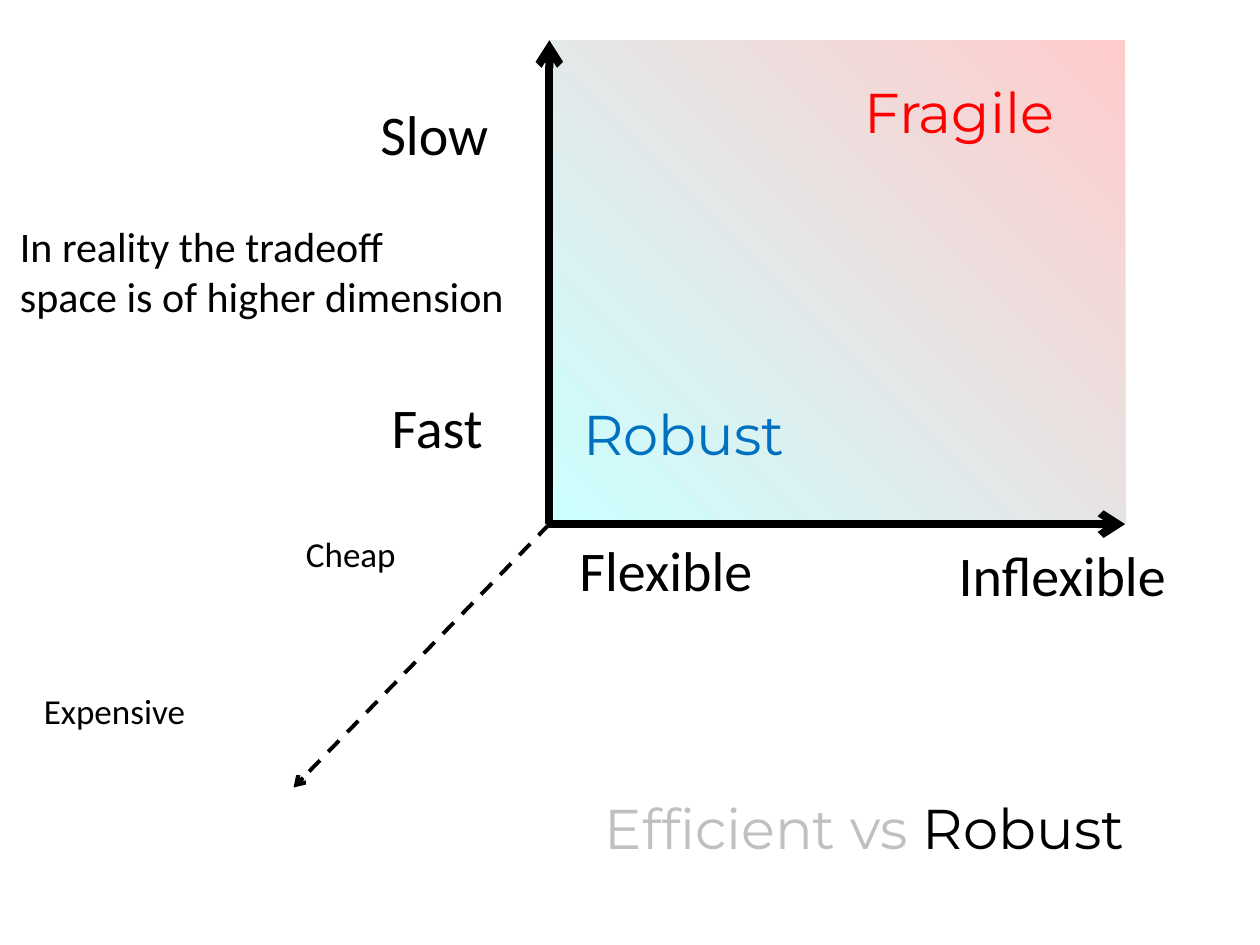
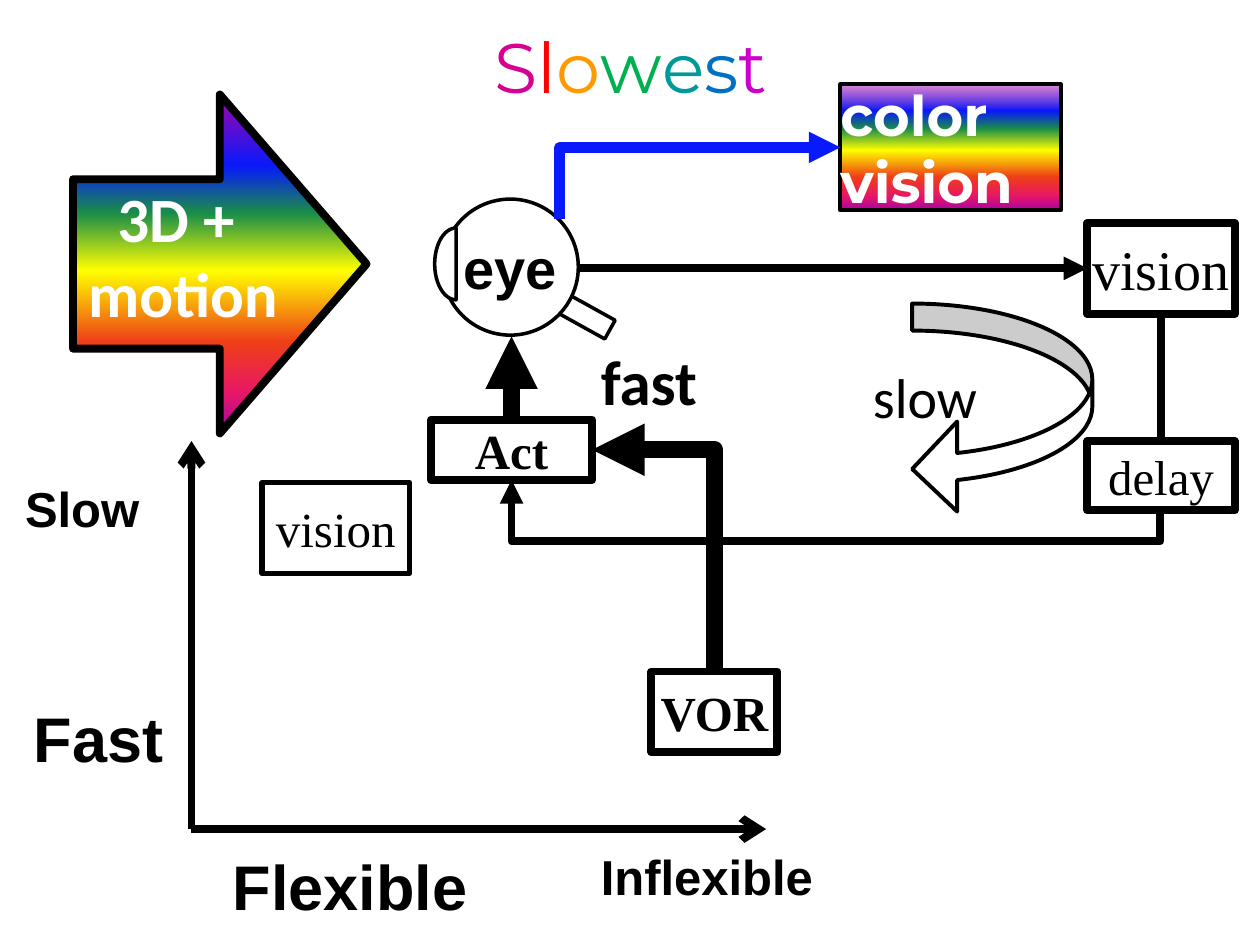
from dataclasses import dataclass
from typing import NamedTuple, Optional

from lxml.etree import SubElement
from pptx import Presentation
from pptx.dml.color import RGBColor
from pptx.enum.dml import MSO_LINE
from pptx.enum.shapes import MSO_CONNECTOR, MSO_SHAPE
from pptx.enum.text import MSO_ANCHOR, MSO_AUTO_SIZE, PP_ALIGN
from pptx.oxml.ns import qn
from pptx.util import Inches, Pt

WIDTH, HEIGHT = Inches(10), Inches(7.5)
COL, ROW = WIDTH / 100, HEIGHT / 75
BLACK, WHITE, RED, BLUE, GREEN = "000000", "FFFFFF", "FF0000", "0070C0", "00B050"
ROBUST, FRAGILE, GRAY, RAY = "CCFFFF", "FFCCCC", "C0C0C0", "0819FB"
SANS, BODY, SERIF, TITLE = "Arial", "Calibri", "Times New Roman", "Montserrat"
RAINBOW = ((0, "A603AB"), (21, RAY), (35, "1A8D48"), (52, "FFFF00"),
           (73, "EE3F17"), (88, "E81766"), (100, "A603AB"))


class Area(NamedTuple):
    col: float
    row: float
    cols: float
    rows: float


class Spot(NamedTuple):
    col: float
    row: float


class Style(NamedTuple):
    font: str
    size: float
    bold: bool = False
    color: str = BLACK


@dataclass
class Label:
    text: str
    area: Area
    style: Style
    wrap: bool = False
    tints: tuple = ()


@dataclass
class Block:
    area: Area
    line: float = 0
    text: str = ""
    style: Style = Style(SERIF, 28)
    kind: MSO_SHAPE = MSO_SHAPE.RECTANGLE
    fill: str = WHITE
    bends: tuple = ()
    turn: float = 0
    flip: bool = False
    inset: Optional[int] = None
    align: PP_ALIGN = PP_ALIGN.CENTER
    anchor: MSO_ANCHOR = MSO_ANCHOR.MIDDLE


@dataclass
class Arrow:
    start: Spot
    end: Spot
    width: float = 4.5
    head: str = "triangle"
    color: str = BLACK
    dashed: bool = False


def paint(color: str) -> RGBColor:
    return RGBColor.from_string(color)


def place(area: Area) -> list[int]:
    units = (COL, ROW, COL, ROW)
    return [round(part * unit) for part, unit in zip(area, units)]


def write(frame, text: str, style: Style, align=PP_ALIGN.LEFT, tints=()) -> None:
    for index, words in enumerate(text.split("\n")):
        para = frame.paragraphs[0] if index == 0 else frame.add_paragraph()
        para.alignment = align
        for part, tint in tints or ((words, style.color),):
            run = para.add_run()
            run.text = part
            if tints:
                run.font.color.rgb = paint(tint)
        para.font.name = style.font
        para.font.size = Pt(style.size)
        para.font.bold = style.bold
        if not tints:
            para.font.color.rgb = paint(style.color)
        for run in para.runs:
            run.font.name = style.font
            run.font.size = Pt(style.size)
            run.font.bold = style.bold
            if not tints:
                run.font.color.rgb = paint(style.color)


def add_label(slide, label: Label):
    box = slide.shapes.add_textbox(*place(label.area))
    box.text_frame.word_wrap = label.wrap
    box.text_frame.auto_size = MSO_AUTO_SIZE.SHAPE_TO_FIT_TEXT
    write(box.text_frame, label.text, label.style, tints=label.tints)
    return box


def add_block(slide, block: Block):
    shape = slide.shapes.add_shape(block.kind, *place(block.area))
    shape.shadow.inherit = False
    shape.rotation = block.turn
    for index, bend in enumerate(block.bends):
        shape.adjustments[index] = bend
    if block.flip:
        shape.element.spPr.find(qn("a:xfrm")).set("flipH", "1")
    if block.fill:
        shape.fill.solid()
        shape.fill.fore_color.rgb = paint(block.fill)
    else:
        shape.fill.background()
    if block.line:
        shape.line.width = Pt(block.line)
        shape.line.color.rgb = paint(BLACK)
    else:
        shape.line.fill.background()
    if block.text:
        frame = shape.text_frame
        frame.word_wrap = False
        frame.vertical_anchor = block.anchor
        if block.inset is not None:
            frame.margin_left = frame.margin_right = block.inset
            frame.margin_top = frame.margin_bottom = block.inset
        write(frame, block.text, block.style, block.align)
    return shape


def blend(shape, stops: tuple, corner: bool = False, clear: int = 100) -> None:
    props = shape.element.spPr
    solid = props.find(qn("a:solidFill"))
    grad = solid.makeelement(qn("a:gradFill"), {"rotWithShape": "1"})
    props.replace(solid, grad)
    chain = SubElement(grad, qn("a:gsLst"))
    for pos, color in stops:
        stop = SubElement(chain, qn("a:gs"), pos=str(pos * 1000))
        tone = SubElement(stop, qn("a:srgbClr"), val=color)
        if pos == 0 and clear < 100:
            SubElement(tone, qn("a:alpha"), val=str(clear * 1000))
    if corner:
        trail = SubElement(grad, qn("a:path"), {"path": "circle"})
        SubElement(trail, qn("a:fillToRect"), t="100000", r="100000")
    else:
        SubElement(grad, qn("a:lin"), ang="5400000", scaled="1")


def dress(link, arrow: Arrow) -> None:
    link.line.width = Pt(arrow.width)
    link.line.color.rgb = paint(arrow.color)
    if arrow.dashed:
        link.line.dash_style = MSO_LINE.DASH
    props = link.element.spPr
    SubElement(props.find(qn("a:ln")), qn("a:tailEnd"), type=arrow.head)
    SubElement(props, qn("a:effectLst"))


def add_arrow(slide, arrow: Arrow):
    (left, top), (right, low) = arrow.start, arrow.end
    link = slide.shapes.add_connector(
        MSO_CONNECTOR.STRAIGHT, round(left * COL), round(top * ROW),
        round(right * COL), round(low * ROW))
    dress(link, arrow)
    return link


def add_elbow(slide, arrow: Arrow, bend: Optional[float] = None):
    start, end = arrow.start, arrow.end
    wide, tall = abs(end.col - start.col), abs(end.row - start.row)
    left = (start.col + end.col - tall) / 2
    top = (start.row + end.row - wide) / 2
    x, y, span, rise = place(Area(left, top, tall, wide))
    link = slide.shapes.add_connector(MSO_CONNECTOR.ELBOW, x, y, x + span, y + rise)
    props = link.element.spPr
    frame = props.find(qn("a:xfrm"))
    frame.set("rot", "16200000")
    if end.col < start.col:
        frame.set("flipV", "1")
    form = props.find(qn("a:prstGeom"))
    if bend is None:
        form.set("prst", "bentConnector2")
    else:
        SubElement(form.find(qn("a:avLst")), qn("a:gd"),
                   name="adj1", fmla=f"val {round(bend * 100000)}")
    dress(link, arrow)
    return link


def add_axes(slide, zero: Spot, top: float, right: float) -> None:
    for end in (Spot(zero.col, top), Spot(right, zero.row)):
        add_arrow(slide, Arrow(zero, end, head="arrow"))


def draw_space(slide) -> None:
    zero = Spot(43.6, 41.6)
    field = add_block(slide, Block(Area(43.6, 3.2, 45.7, 38.3)))
    blend(field, ((0, ROBUST), (100, FRAGILE)), corner=True)
    add_axes(slide, zero, 3.2, 89.3)
    add_arrow(slide, Arrow(zero, Spot(23.3, 62.5), 2.25, "arrow", dashed=True))
    big, small = Style(BODY, 32), Style(BODY, 20)
    for label in (
        Label("Slow", Area(29.2, 7.4, 11.7, 6.4), big),
        Label("Flexible", Area(45, 42, 17.5, 6.4), big),
        Label("Fast", Area(30.1, 30.7, 10.7, 6.4), big),
        Label("Inflexible", Area(75.1, 42.4, 19.7, 6.4), big),
        Label("Robust", Area(45.3, 31.2, 19.1, 6.4), Style(TITLE, 32, color=BLUE)),
        Label("Fragile", Area(67.6, 5.7, 19, 6.4), Style(TITLE, 32, color=RED)),
        Label("Cheap", Area(23.3, 41.8, 10.3, 4.4), small),
        Label("Expensive", Area(2.5, 54.2, 15, 4.4), small),
        Label("", Area(47, 62.5, 51.3, 6.4), Style(TITLE, 32), True,
              (("Efficient vs ", GRAY), ("Robust", BLACK))),
        Label("In reality the tradeoff\nspace is of higher dimension",
              Area(0.6, 17, 40.8, 9.1), Style(BODY, 24)),
    ):
        add_label(slide, label)


def draw_eye(slide) -> None:
    for part in (
        Block(Area(44.1, 24.2, 4.6, 1.7), 2, turn=29),
        Block(Area(35.1, 15.8, 10.8, 10.8), 2, "eye", Style(SANS, 32, True),
              MSO_SHAPE.OVAL),
        Block(Area(34.5, 18.1, 3.4, 5.7), 2, kind=MSO_SHAPE.CHORD, bends=(54, 162)),
    ):
        add_block(slide, part)


def draw_loop(slide) -> None:
    add_axes(slide, Spot(15.2, 65.8), 35, 60.8)
    add_block(slide, Block(Area(20.8, 38.3, 11.7, 7.2), 3, "vision"))
    draw_eye(slide)
    strong = Style(SERIF, 28, True)
    sight = add_block(slide, Block(Area(86.3, 17.7, 11.7, 7.2), 4.5, "vision",
                                   Style(SERIF, 32)))
    act = add_block(slide, Block(Area(34.2, 33.3, 12.8, 4.8), 4.5, "Act", strong, fill=""))
    see = add_arrow(slide, Arrow(Spot(45.9, 21.3), Spot(86.3, 21.3)))
    see.end_connect(sight, 1)
    move = add_arrow(slide, Arrow(Spot(40.6, 33.3), Spot(40.6, 26.7), 10))
    move.begin_connect(act, 0)
    add_block(slide, Block(Area(72.4, 24.1, 14.3, 16.7), 2.25,
                           kind=MSO_SHAPE.CURVED_RIGHT_ARROW,
                           bends=(0.15, 0.5, 0.25), flip=True))
    wait = add_arrow(slide, Arrow(Spot(92.15, 24.9), Spot(92.15, 39.2)))
    wait.begin_connect(sight, 2)
    add_block(slide, Block(Area(86.3, 35, 11.7, 5.5), 4.5, "delay"))
    add_elbow(slide, Arrow(Spot(92.1, 40.5), Spot(40.6, 38.1)), -1.03)
    add_block(slide, Block(Area(51.7, 53.3, 10, 6.4), 4.5, "VOR", strong, fill=""))
    add_elbow(slide, Arrow(Spot(56.7, 53.3), Spot(47, 35.7), 10))
    motion = add_block(slide, Block(
        Area(5.8, 7.5, 23.3, 26.9), 4.5, "3D + \nmotion", Style(BODY, 36, True, WHITE),
        MSO_SHAPE.RIGHT_ARROW, inset=0, anchor=MSO_ANCHOR.TOP))
    blend(motion, RAINBOW)
    color = add_block(slide, Block(
        Area(66.7, 6.7, 17.5, 10), 2.25, "color\nvision", Style(TITLE, 32, True, WHITE),
        inset=0, align=PP_ALIGN.LEFT))
    blend(color, RAINBOW, clear=46)
    add_elbow(slide, Arrow(Spot(44.4, 17.4), Spot(66.7, 11.7), 6, color=RAY))
    hues = ("D60093", RED, "FF9900", GREEN, "009999", BLUE, "CC00CC")
    big, small = Style(SANS, 36, True), Style(SANS, 28, True)
    for label in (
        Label("Slow", Area(1, 37.5, 11.2, 5.7), small),
        Label("Flexible", Area(17.5, 66.8, 20.8, 7.1), big),
        Label("Fast", Area(1.7, 55, 12.4, 7.1), big),
        Label("Inflexible", Area(46.7, 66.7, 19.1, 5.7), small),
        Label("slow", Area(68.3, 28.3, 10.4, 6.4), Style(BODY, 32)),
        Label("fast", Area(46.7, 26.7, 9.7, 7.1), Style(BODY, 36, True)),
        Label("", Area(38.3, 1.4, 26.5, 7.7), Style(TITLE, 40),
              tints=tuple(zip("Slowest", hues))),
    ):
        add_label(slide, label)


def main() -> None:
    deck = Presentation()
    deck.slide_width, deck.slide_height = WIDTH, HEIGHT
    for draw in (draw_space, draw_loop):
        draw(deck.slides.add_slide(deck.slide_layouts[6]))
    deck.save("out.pptx")


if __name__ == "__main__":
    main()
